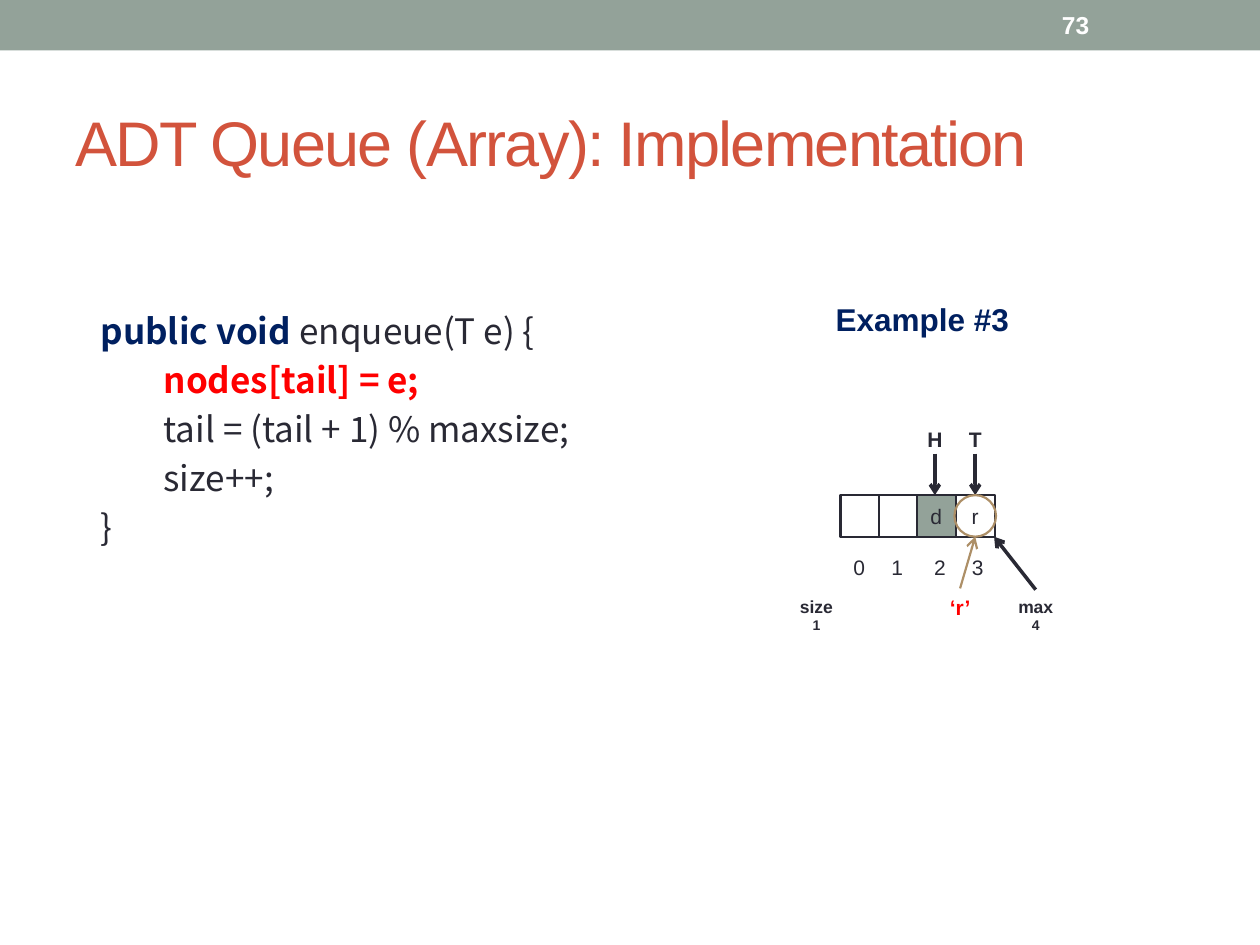
from lxml.etree import SubElement
from pptx import Presentation
from pptx.dml.color import RGBColor
from pptx.enum.shapes import MSO_CONNECTOR as Connector, MSO_SHAPE as Shape
from pptx.enum.text import MSO_ANCHOR as Anchor, PP_ALIGN as Align
from pptx.oxml.ns import qn
from pptx.util import Inches, Pt

INK = RGBColor(0x29, 0x29, 0x34)
SAGE = RGBColor(0x93, 0xA2, 0x99)
RUST = RGBColor(0xD2, 0x53, 0x3C)
NAVY = RGBColor(0x00, 0x20, 0x60)
RED = RGBColor(0xFF, 0x00, 0x00)
TAN = RGBColor(0xAD, 0x8F, 0x67)
WHITE = RGBColor(0xFF, 0xFF, 0xFF)
CODE_FONT = "Noto Sans CJK SC"

TITLE = "ADT Queue (Array): Implementation"
PAGE_NUMBER = "73"
# Each line is a list of (text, format) spans.
CODE = [
    [("public void ", dict(color=NAVY, bold=True)), ("enqueue(T e) {", {})],
    [("\tnodes[tail] = e;", dict(color=RED, bold=True))],
    [("\ttail = (tail + 1) % maxsize;", {})],
    [("\tsize++;", {})],
    [("}", {})],
]

# The array: four cells in one row
ROW_LEFT, ROW_TOP, ROW_WIDTH, CELL_HEIGHT = 6.67, 3.93, 1.22, 0.33
CELL_WIDTH = 0.31
CELL_FILLS = [WHITE, WHITE, SAGE, WHITE]
PITCH = ROW_WIDTH / len(CELL_FILLS)
ROW_BOTTOM = ROW_TOP + CELL_HEIGHT
HEAD_X, TAIL_X = 7.42, 7.74
INDEX_CENTRES = [6.82, 7.12, 7.46, 7.76]

# text, centre x, top, width, height, format
LABELS = [
    ("Example #3", 7.32, 2.33, 1.64, 0.4, dict(size=18, color=NAVY, bold=True)),
    ("H", HEAD_X, 3.34, 0.33, 0.3, dict(bold=True)),
    ("T", TAIL_X, 3.34, 0.31, 0.3, dict(bold=True)),
    ("d", 7.43, 3.95, 0.31, 0.3, {}),
    ("r", TAIL_X, 3.95, 0.27, 0.3, {}),
    ("‘r’", 7.62, 4.67, 0.38, 0.3, dict(color=RED, bold=True)),
]
LABELS += [(str(index), centre, 4.35, 0.31, 0.3, {})
           for index, centre in enumerate(INDEX_CENTRES)]
# name, value, centre x
COUNTERS = [("size", "1", 6.48), ("max", "4", 8.22)]
# start, end, colour, line width
ARROWS = [
    ((8.22, 4.68), (ROW_LEFT + ROW_WIDTH, ROW_BOTTOM), INK, 2),
    ((HEAD_X, 3.6), (HEAD_X, ROW_TOP), INK, 2),
    ((TAIL_X, 3.6), (TAIL_X, ROW_TOP), INK, 2),
    ((7.62, 4.67), (TAIL_X, ROW_BOTTOM), TAN, 1.25),
]


def add_span(para, text, size=12, color=INK, bold=False, font="Arial", spacing=None):
    span = para.add_run()
    span.text = text
    span.font.name, span.font.size = font, Pt(size)
    span.font.bold, span.font.color.rgb = bold, color
    properties = span.font._element
    if font != "Arial":
        SubElement(properties, qn("a:ea")).set("typeface", font)
    if spacing is not None:
        properties.set("spc", str(spacing * 100))


def add_text(page, lines, left, top, width, height, *, align=Align.LEFT,
             anchor=Anchor.TOP, wrap=True, pitch=None, **defaults):
    """Add a text box; lines is a list of paragraphs, each a list of (text, format)."""
    box = page.shapes.add_textbox(*map(Inches, (left, top, width, height)))
    frame = box.text_frame
    frame.word_wrap, frame.vertical_anchor = wrap, anchor
    for number, spans in enumerate(lines):
        para = frame.add_paragraph() if number else frame.paragraphs[0]
        para.alignment = align
        if pitch:
            para.line_spacing = Pt(pitch)
        for text, style in spans:
            add_span(para, text, **{**defaults, **style})


def add_label(page, lines, centre, top, width, height):
    add_text(page, lines, centre - width / 2, top, width, height,
             align=Align.CENTER, wrap=False)


def add_outline(page, kind, left, top, width, height, fill=None, line=None):
    shape = page.shapes.add_shape(kind, *map(Inches, (left, top, width, height)))
    shape.shadow.inherit = False
    if fill is None:
        shape.fill.background()
    else:
        shape.fill.solid()
        shape.fill.fore_color.rgb = fill
    if line is None:
        shape.line.fill.background()
    else:
        shape.line.color.rgb, shape.line.width = line, Pt(1.25)


def add_arrow(page, start, end, color, width):
    arrow = page.shapes.add_connector(Connector.STRAIGHT, *map(Inches, start + end))
    arrow.line.color.rgb, arrow.line.width = color, Pt(width)
    SubElement(arrow.line._get_or_add_ln(), qn("a:tailEnd")).set("type", "arrow")
    SubElement(arrow._element.spPr, qn("a:effectLst"))


def main():
    deck = Presentation()
    deck.slide_width, deck.slide_height = Inches(10), Inches(7.5)
    page = deck.slides.add_slide(deck.slide_layouts[6])

    add_outline(page, Shape.RECTANGLE, 0, 0, 10, 0.4, fill=SAGE)
    add_text(page, [[(TITLE, {})]], 0.5, 0.58, 9, 1.08, anchor=Anchor.MIDDLE,
             size=36, color=RUST, spacing=-1)
    add_text(page, [[(PAGE_NUMBER, {})]], 8.33, 0.02, 1.17, 0.36,
             anchor=Anchor.MIDDLE, size=14, color=WHITE, bold=True)
    add_text(page, CODE, 0.7, 2.35, 5.6, 2.1, pitch=28, size=20, font=CODE_FONT)

    for column, fill in enumerate(CELL_FILLS):
        add_outline(page, Shape.RECTANGLE, ROW_LEFT + column * PITCH, ROW_TOP,
                    CELL_WIDTH, CELL_HEIGHT, fill=fill, line=INK)
    for arrow in ARROWS:
        add_arrow(page, *arrow)
    add_outline(page, Shape.OVAL, TAIL_X - CELL_HEIGHT / 2, ROW_TOP,
                CELL_HEIGHT, CELL_HEIGHT, line=TAN)
    for text, centre, top, width, height, style in LABELS:
        add_label(page, [[(text, style)]], centre, top, width, height)
    for name, value, centre in COUNTERS:
        lines = [[(name, dict(size=10, bold=True))], [(value, dict(size=8, bold=True))]]
        add_label(page, lines, centre, 4.68, 0.5, 0.4)

    deck.save("out.pptx")


if __name__ == "__main__":
    main()
